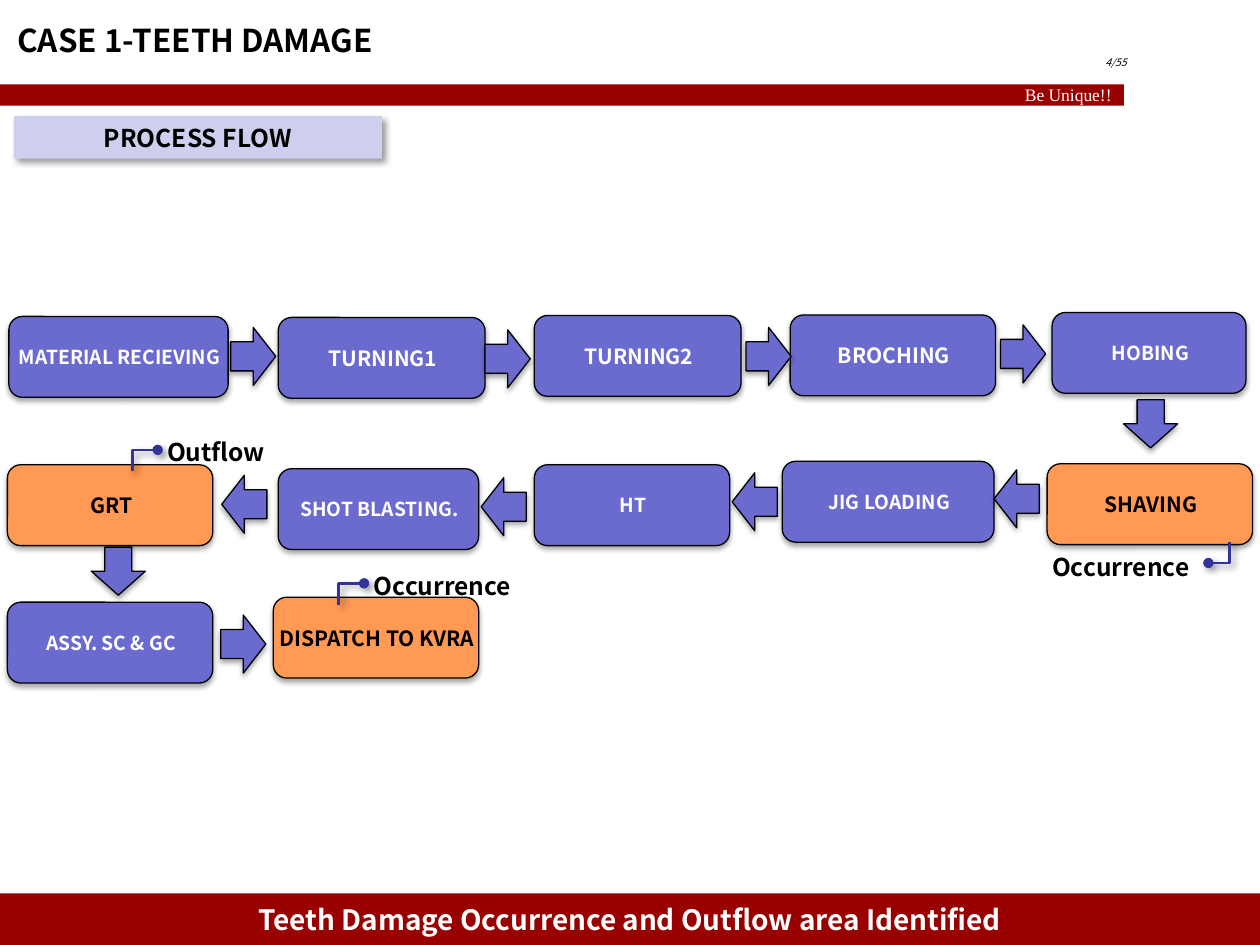
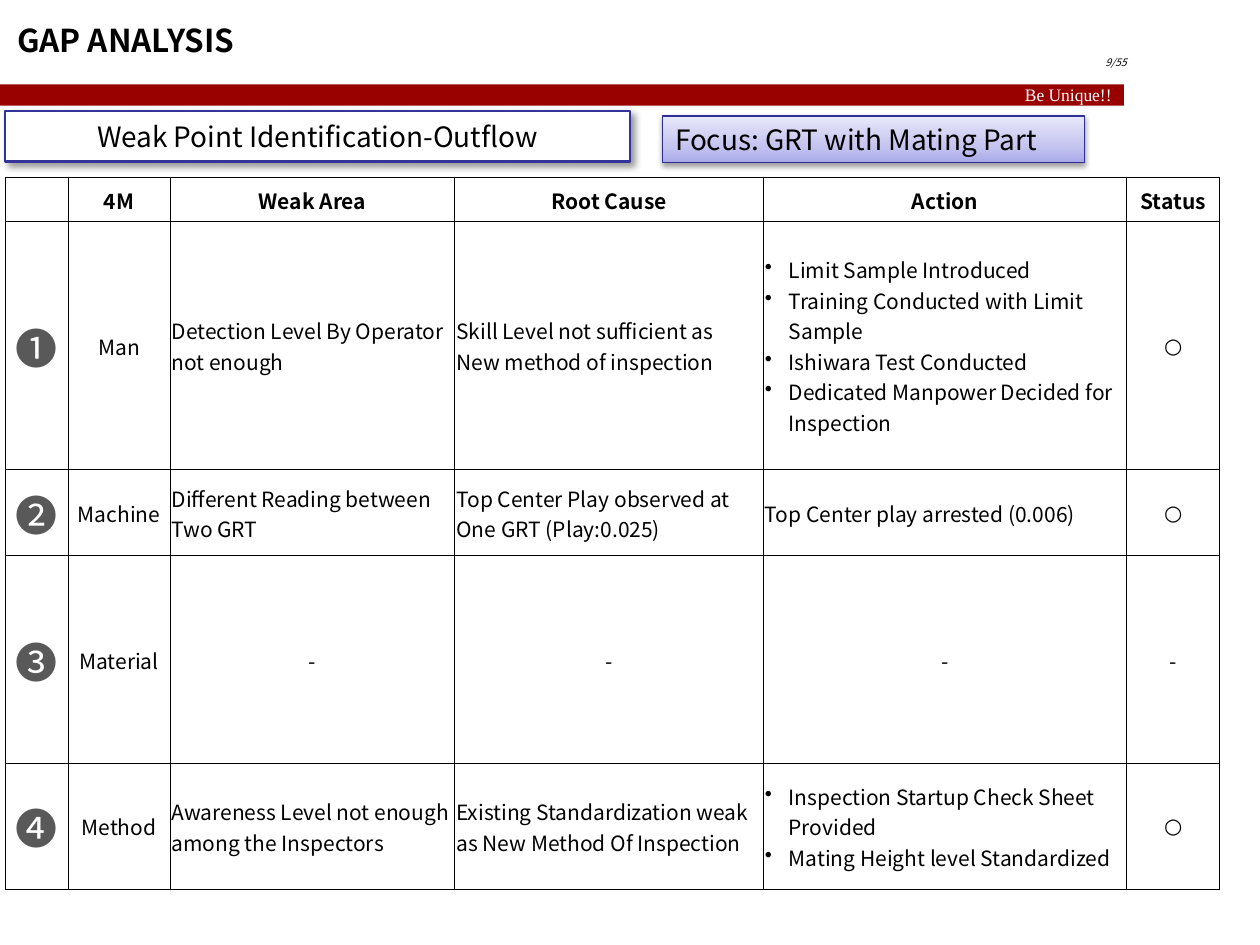
from copy import deepcopy

from lxml import etree
from pptx import Presentation
from pptx.dml.color import RGBColor
from pptx.enum.shapes import MSO_SHAPE
from pptx.enum.text import MSO_ANCHOR, PP_ALIGN
from pptx.oxml.ns import qn
from pptx.util import Cm, Pt

RECT, ROUND, ARROW = MSO_SHAPE.RECTANGLE, MSO_SHAPE.ROUNDED_RECTANGLE, MSO_SHAPE.RIGHT_ARROW
LEFT, CENTER, RIGHT = PP_ALIGN.LEFT, PP_ALIGN.CENTER, PP_ALIGN.RIGHT
TOP, MIDDLE, BOTTOM = MSO_ANCHOR.TOP, MSO_ANCHOR.MIDDLE, MSO_ANCHOR.BOTTOM

SANS, SERIF, SYMBOL = "Noto Sans CJK JP", "Times New Roman", "DejaVu Sans"
BLACK, WHITE, GREY = "000000", "FFFFFF", "595959"
RED, NAVY, VIOLET, LILAC, ORANGE = "990000", "333399", "6B6BCF", "CECEEF", "FF9953"

# Shadows: opacity %, blur pt, distance pt, direction in degrees
SLANTED, BELOW = (40, 4, 3, 45), (35, 3.1, 1.8, 90)
SIDES = ("margin_left", "margin_top", "margin_right", "margin_bottom")
TEXT_INSETS = (0.25, 0.13, 0.25, 0.13)
STEP_INSETS = (0.05, 0, 0, 0)
CELL_INSETS = (0.03, 0.03, 0.03, 0)
BULLET_INDENT = Cm(0.48)


def color(value):
    return RGBColor.from_string(value)


def add_xml(parent, tag, **attributes):
    return etree.SubElement(parent, qn(tag), {k: str(v) for k, v in attributes.items()})


class Deck:
    """Holds the shared style and the slide being filled."""

    def __init__(self):
        self.prs = Presentation()
        self.prs.slide_width, self.prs.slide_height = Cm(25.4), Cm(19.05)
        self.slide = None

    def new_slide(self, title, page):
        self.slide = self.prs.slides.add_slide(self.prs.slide_layouts[6])
        self.box((0, 1.7, 22.66, 0.43), RED, text="Be Unique!!", size=10,
                 font=SERIF, ink=WHITE, align=RIGHT)
        self.label((17.68, 0.23, 5.28, 1.27), page, size=5.9, italic=True,
                   align=RIGHT, anchor=BOTTOM)
        self.label((0.1, 0.3, 12, 1.02), title, size=18, bold=True)

    # Text
    def put_text(self, paragraph, text, size=12, font=SANS, ink=BLACK,
                 bold=False, italic=False, align=LEFT):
        paragraph.alignment = align
        run = paragraph.add_run()
        run.text = text
        formats = {"size": Pt(size), "bold": bold, "italic": italic, "name": font}
        run.font.color.rgb = color(ink)
        for name, value in formats.items():
            setattr(run.font, name, value)
        add_xml(run.font._element, "a:ea", typeface=font)

    def fill_frame(self, frame, text, anchor=MIDDLE, insets=TEXT_INSETS, **style):
        formats = dict(zip(SIDES, map(Cm, insets)), word_wrap=True, vertical_anchor=anchor)
        for name, value in formats.items():
            setattr(frame, name, value)
        self.put_text(frame.paragraphs[0], text, **style)

    def label(self, place, text, anchor=TOP, **style):
        frame = self.slide.shapes.add_textbox(*map(Cm, place)).text_frame
        self.fill_frame(frame, text, anchor, **style)

    # Shapes
    def finish(self, shape, line, width, shadow):
        if line:
            shape.line.color.rgb = color(line)
            shape.line.width = Pt(width)
        else:
            shape.line.fill.background()
        shape.shadow.inherit = False
        if shadow:
            opacity, blur, distance, angle = shadow
            effects = shape._element.spPr.find(qn("a:effectLst"))
            outer = add_xml(effects, "a:outerShdw", blurRad=int(Pt(blur)),
                            dist=int(Pt(distance)), dir=angle * 60000,
                            algn="ctr", rotWithShape=0)
            add_xml(add_xml(outer, "a:srgbClr", val=BLACK), "a:alpha", val=opacity * 1000)

    def box(self, place, fill, kind=RECT, line=None, width=0.75, shadow=None,
            text=None, **style):
        shape = self.slide.shapes.add_shape(kind, *map(Cm, place))
        if isinstance(fill, str):
            shape.fill.solid()
            shape.fill.fore_color.rgb = color(fill)
        else:
            self.blend(shape, fill)
        self.finish(shape, line, width, shadow)
        if text:
            self.fill_frame(shape.text_frame, text, **style)
        return shape

    def blend(self, shape, stops):
        """Three-colour gradient running upwards."""
        shape.fill.gradient()
        shape.fill.gradient_angle = 90
        stop_list = shape._element.spPr.find(".//" + qn("a:gsLst"))
        stop_list.append(deepcopy(stop_list[0]))
        for stop, (position, value) in zip(shape.fill.gradient_stops, stops):
            stop.position = position
            stop.color.rgb = color(value)

    def step(self, x, y, width, text, size, critical):
        fill, ink = (ORANGE, BLACK) if critical else (VIOLET, WHITE)
        self.box((x, y, width, 1.63), fill, ROUND, BLACK, shadow=BELOW, text=text,
                 insets=STEP_INSETS, size=size, ink=ink, bold=True, align=CENTER)

    def arrow(self, x, y, turn):
        size = (0.97, 1.09) if turn == 90 else (0.91, 1.17)
        self.box((x, y, *size), VIOLET, ARROW, BLACK, shadow=BELOW).rotation = turn

    def callout(self, x, y, run, rise):
        """Elbow from a step's edge to a dot beside its label."""
        builder = self.slide.shapes.build_freeform(Cm(x), Cm(y))
        corner = (Cm(x), Cm(y + rise))
        builder.add_line_segments([corner, (Cm(x + run), corner[1])], close=False)
        elbow = builder.convert_to_shape()
        elbow.fill.background()
        self.finish(elbow, NAVY, 1.5, SLANTED)
        add_xml(elbow.line._get_or_add_ln(), "a:tailEnd", type="oval")

    # Table
    def table(self, place, widths, heights):
        frame = self.slide.shapes.add_table(len(heights), len(widths), *map(Cm, place))
        grid = frame.table
        for column, width in zip(grid.columns, widths):
            column.width = Cm(width)
        for row, height in zip(grid.rows, heights):
            row.height = Cm(height)
        return grid

    def cell(self, cell, content, **style):
        properties = cell._tc.get_or_add_tcPr()
        for side in ("a:lnL", "a:lnR", "a:lnT", "a:lnB"):
            border = add_xml(properties, side, w=int(Pt(0.5)))
            add_xml(add_xml(border, "a:solidFill"), "a:srgbClr", val=BLACK)
        cell.fill.solid()
        cell.fill.fore_color.rgb = color(WHITE)
        formats = dict(zip(SIDES, map(Cm, CELL_INSETS)), vertical_anchor=MIDDLE)
        for name, value in formats.items():
            setattr(cell, name, value)
        if isinstance(content, list):
            self.bullets(cell.text_frame, content, **style)
        elif content:
            self.put_text(cell.text_frame.paragraphs[0], content, **style)
        else:
            cell.text_frame.paragraphs[0].font.size = Pt(12)

    def bullets(self, frame, items, **style):
        for index, item in enumerate(items):
            paragraph = frame.add_paragraph() if index else frame.paragraphs[0]
            properties = paragraph._p.get_or_add_pPr()
            properties.set("marL", str(int(BULLET_INDENT)))
            properties.set("indent", str(-int(BULLET_INDENT)))
            add_xml(properties, "a:buChar", char="•")
            self.put_text(paragraph, item, **style)


# x, y, width, text, size, critical
STEPS = [
    (0.18, 6.38, 4.42, "MATERIAL RECIEVING", 11, False),
    (5.61, 6.4, 4.17, "TURNING1", 12, False),
    (10.77, 6.36, 4.17, "TURNING2", 12, False),
    (15.93, 6.35, 4.14, "BROCHING", 12, False),
    (21.21, 6.3, 3.91, "HOBING", 11, False),
    (21.11, 9.35, 4.14, "SHAVING", 12, True),
    (15.77, 9.3, 4.27, "JIG LOADING", 11, False),
    (10.77, 9.37, 3.94, "HT", 11, False),
    (5.61, 9.45, 4.04, "SHOT BLASTING.", 11, False),
    (0.15, 9.37, 4.14, "GRT", 12, True),
    (0.15, 12.14, 4.14, "ASSY. SC & GC", 11, False),
    (5.51, 12.04, 4.14, "DISPATCH TO KVRA", 12, True),
]

# Rotation: places
ARROWS = {
    0: [(4.65, 6.6), (9.78, 6.65), (15.04, 6.6), (20.17, 6.55), (4.45, 12.4)],
    90: [(22.71, 8), (1.9, 10.97)],
    180: [(20.04, 9.47), (14.76, 9.53), (9.7, 9.63), (4.47, 9.58)],
}

# Elbow (x, y, run, rise), label place, label
CALLOUTS = [
    ((2.67, 9.5, 0.51, -0.43), (3.12, 8.69, 2.74, 0.86), "Outflow"),
    ((6.83, 12.19, 0.51, -0.43), (7.29, 11.38, 3.68, 0.86), "Occurrence"),
    ((24.79, 10.92, -0.43, 0.43), (20.96, 11, 3.68, 0.86), "Occurrence"),
]

HEADINGS = ["", "4M", "Weak Area", "Root Cause", "Action", "Status"]
GAPS = [
    ["❶", "Man", "Detection Level By Operator not enough",
     "Skill Level not sufficient as New method of inspection",
     ["Limit Sample Introduced", "Training Conducted with Limit Sample",
      "Ishiwara Test Conducted", "Dedicated Manpower Decided for Inspection"], "○"],
    ["❷", "Machine", "Different Reading between Two GRT",
     "Top Center Play observed at One GRT (Play:0.025)",
     "Top Center play arrested (0.006)", "○"],
    ["❸", "Material", "-", "-", "-", "-"],
    ["❹", "Method", "Awareness Level not enough among the Inspectors",
     "Existing Standardization weak as New Method Of Inspection",
     ["Inspection Startup Check Sheet Provided", "Mating Height level Standardized"], "○"],
]


def process_flow(deck):
    deck.new_slide("CASE 1-TEETH DAMAGE", "4/55")
    deck.box((0.28, 2.34, 7.42, 0.86), LILAC, shadow=SLANTED, text="PROCESS FLOW",
             size=14, bold=True, align=CENTER)
    for step in STEPS:
        deck.step(*step)
    for turn, places in ARROWS.items():
        for x, y in places:
            deck.arrow(x, y, turn)
    for elbow, place, text in CALLOUTS:
        deck.callout(*elbow)
        deck.label(place, text, size=14, bold=True)
    # Conclusion band
    deck.box((0, 18.01, 25.4, 1.04), RED, size=16, ink=WHITE, bold=True, align=CENTER,
             text="Teeth Damage Occurrence and Outflow area Identified")


def gap_analysis(deck):
    deck.new_slide("GAP ANALYSIS", "9/55")
    grid = deck.table((0.1, 3.58, 24.49, 14.34), [1.27, 2.06, 5.74, 6.22, 7.32, 1.88],
                      [0.88, 5, 1.74, 4.18, 2.54])
    for column, heading in enumerate(HEADINGS):
        deck.cell(grid.cell(0, column), heading, bold=True, align=CENTER)
    for row, gap in enumerate(GAPS, start=1):
        for column, content in enumerate(gap):
            centered = column in (0, 1, 5) or content == "-"
            style = {"align": CENTER if centered else LEFT}
            if column == 0:
                style.update(size=24, ink=GREY)
            elif content == "○":
                style.update(font=SYMBOL)
            deck.cell(grid.cell(row, column), content, **style)
    # Topic and focus boxes
    deck.box((0.1, 2.24, 12.6, 1.02), WHITE, line=NAVY, width=1.5, shadow=SLANTED,
             text="Weak Point Identification-Outflow", size=16, align=CENTER)
    deck.box((13.36, 2.34, 8.51, 0.94), [(0, "A9A9E9"), (0.35, "C4C4EF"), (1, "E8E8FA")],
             line="2F2F98", shadow=(38, 3.1, 1.6, 90),
             text="Focus: GRT with Mating Part", size=16, anchor=TOP)


def main():
    deck = Deck()
    process_flow(deck)
    gap_analysis(deck)
    deck.prs.save("out.pptx")


if __name__ == "__main__":
    main()
